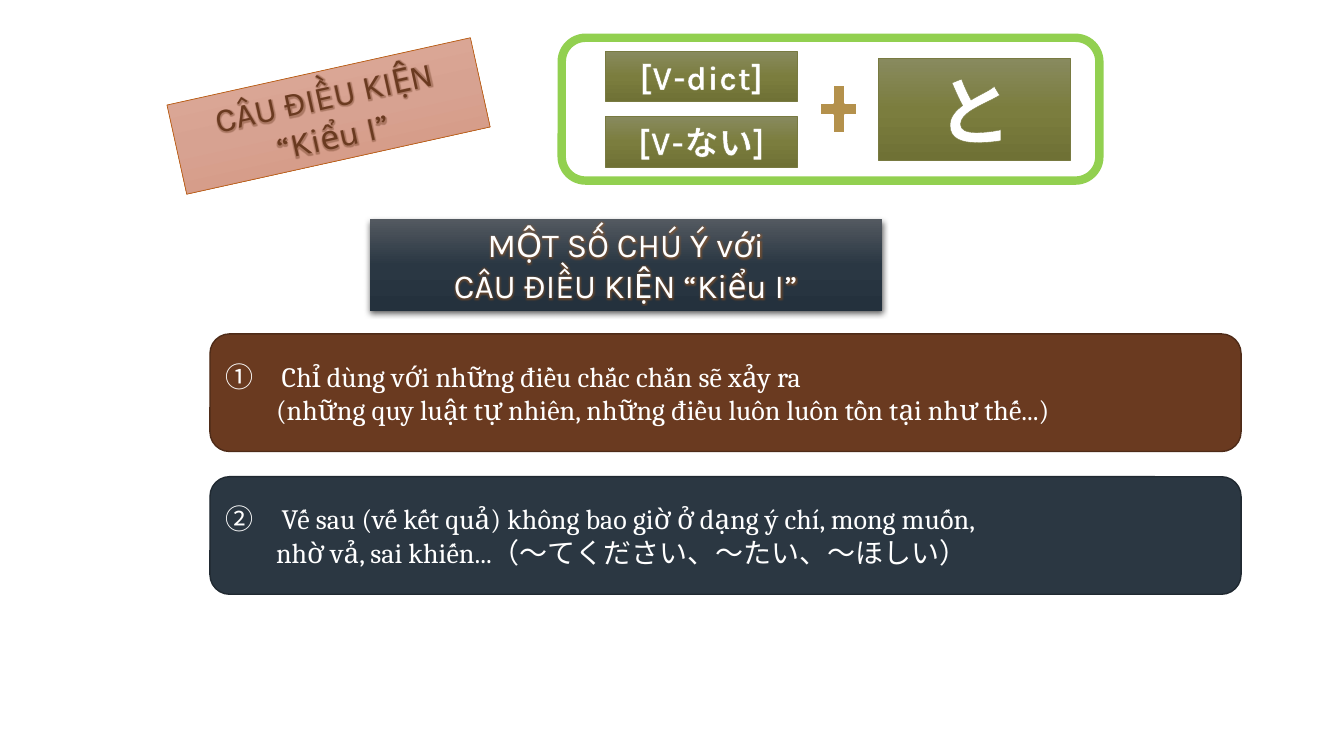
from pptx import Presentation
from pptx.dml.color import RGBColor as RGB
from pptx.enum.shapes import MSO_SHAPE as SHAPE
from pptx.enum.text import MSO_ANCHOR as ANCHOR, MSO_AUTO_SIZE as AUTO, PP_ALIGN as ALIGN
from pptx.oxml import parse_xml
from pptx.oxml.ns import nsdecls, qn
from pptx.util import Pt

PX = 9525
NS = nsdecls("a")
C = {
    "white": "FFFFFF", "black": "000000", "brown": "6A3A20", "brown_edge": "4E2B18",
    "navy": "2B3742", "navy_edge": "202931", "orange": "B95E14", "olive": "787A41",
    "gold": "B4914C", "green": "92D050",
}
GRADIENTS = {
    "salmon": ("E1AE9E", "D7A291", "D5937C"),
    "olive": ("888A5E", "7B7D3E", "6F7135"),
    "slate": ("535960", "2A3743", "24313D"),
}

prs = Presentation()
prs.slide_width, prs.slide_height = 1280 * PX, 720 * PX
s = prs.slides.add_slide(prs.slide_layouts[6])


def add_box(kind, box, fill, edge, width):
    sp = s.shapes.add_shape(kind, *(v * PX for v in box))
    sp.shadow.inherit = False
    if fill in C:
        sp.fill.solid()
        sp.fill.fore_color.rgb = RGB.from_string(C[fill])
    else:
        sp.fill.background()
    if edge:
        sp.line.color.rgb = RGB.from_string(C[edge])
        sp.line.width = Pt(width)
    else:
        sp.line.fill.background()
    return sp


def add_banner(box, gradient, edge, lines, size, color, bold=False, glow=None):
    sp = add_box(SHAPE.RECTANGLE, box, None, edge, 0.5)
    stops = "".join(
        f'<a:gs pos="{i * 50000}"><a:srgbClr val="{c}"/></a:gs>'
        for i, c in enumerate(GRADIENTS[gradient]))
    spPr = sp._element.spPr
    spPr.replace(spPr.find(qn("a:noFill")), parse_xml(
        f'<a:gradFill {NS} rotWithShape="1"><a:gsLst>{stops}</a:gsLst>'
        '<a:lin ang="5400000" scaled="0"/></a:gradFill>'))
    tf = sp.text_frame
    tf.word_wrap = True
    tf.auto_size = AUTO.SHAPE_TO_FIT_TEXT
    tf.vertical_anchor = ANCHOR.TOP
    tf.text = lines
    for p in tf.paragraphs:
        p.alignment = ALIGN.CENTER
        p.font.name, p.font.size, p.font.bold = "Karla", Pt(size), bold
        p.font.color.rgb = RGB.from_string(C[color])
        for r in p.runs:
            rPr = r._r.get_or_add_rPr()
            if bold:
                rPr.set("spc", "50")
                rPr.append(parse_xml(
                    f'<a:ln {NS} w="9525"><a:solidFill><a:srgbClr val="{C["olive"]}"/>'
                    '</a:solidFill></a:ln>'))
            if glow:
                rPr.append(parse_xml(
                    f'<a:effectLst {NS}><a:glow rad="38100"><a:srgbClr val="{C[glow]}">'
                    '<a:alpha val="40000"/></a:srgbClr></a:glow></a:effectLst>'))
    return sp


title = add_banner((165, 67, 296, 87), "salmon", "orange",
                   "CÂU ĐIỀU KIỆN\v“Kiểu I”", 24, "brown", glow="brown")
title.rotation = 347.5

for box, text, size in (
    ((577, 49, 182, 48), "[V-dict]", 24),
    ((577, 111, 182, 48), "[V-ない]", 24),
    ((837, 56, 182, 97), "と", 54),
):
    add_banner(box, "olive", "olive", text, size, "white", bold=True)

add_box(SHAPE.MATH_PLUS, (775, 73, 48, 62), "gold", "white", 1.5)
add_box(SHAPE.ROUNDED_RECTANGLE, (535, 36, 512, 136), None, "green", 6)

header = add_banner((352, 209, 488, 87), "slate", None,
                    "MỘT SỐ CHÚ Ý với\nCÂU ĐIỀU KIỆN “Kiểu I”", 24, "white", glow="orange")
header._element.spPr.find(qn("a:effectLst")).append(parse_xml(
    f'<a:outerShdw {NS} blurRad="57150" dist="19050" dir="5400000" algn="ctr" rotWithShape="0">'
    f'<a:srgbClr val="{C["black"]}"><a:alpha val="63000"/></a:srgbClr></a:outerShdw>'))

notes = (
    ("brown", "①　Chỉ dùng với những điều chắc chắn sẽ xảy ra",
     "(những quy luật tự nhiên, những điều luôn luôn tồn tại như thế...)", ""),
    ("navy", "②　Vế sau (vế kết quả) không bao giờ ở dạng ý chí, mong muốn,",
     "nhờ vả, sai khiến...", "（～てください、～たい、～ほしい）"),
)
for i, (color, first, second, japanese) in enumerate(notes):
    sp = add_box(SHAPE.ROUNDED_RECTANGLE, (200, 318 + 136 * i, 982, 112),
                 color, color + "_edge", 1)
    tf = sp.text_frame
    tf.word_wrap = True
    tf.vertical_anchor = ANCHOR.MIDDLE
    p = tf.paragraphs[0]
    p.text = f"{first}\v{second}"
    p.alignment = ALIGN.LEFT
    pPr = p._p.get_or_add_pPr()
    pPr.set("marL", str(48 * PX))
    pPr.set("indent", str(-48 * PX))
    p.font.size = Pt(20)
    p.font.color.rgb = RGB.from_string(C["white"])
    for r in p.runs:
        r.font.name = "Cambria"
    if japanese:
        r = p.add_run()
        r.text = japanese
        r.font.name = "Calibri"

prs.save("out.pptx")
